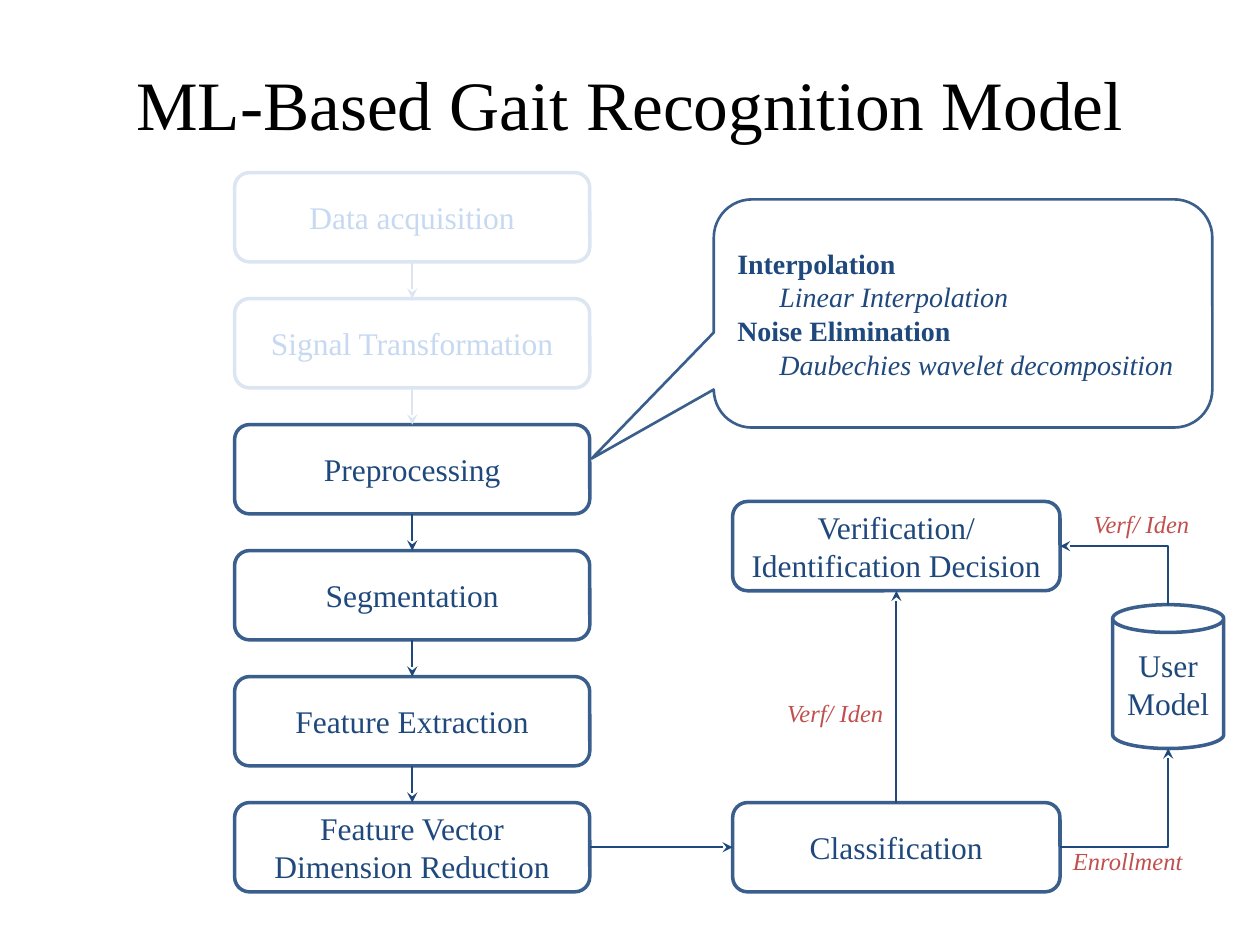
from lxml import etree
from pptx import Presentation
from pptx.dml.color import RGBColor
from pptx.enum.shapes import MSO_CONNECTOR, MSO_SHAPE
from pptx.enum.text import MSO_ANCHOR, MSO_AUTO_SIZE, PP_ALIGN
from pptx.oxml.ns import qn
from pptx.util import Cm, Pt

ROUNDED, CAN = MSO_SHAPE.ROUNDED_RECTANGLE, MSO_SHAPE.CAN
CALLOUT = MSO_SHAPE.ROUNDED_RECTANGULAR_CALLOUT
STRAIGHT, ELBOW = MSO_CONNECTOR.STRAIGHT, MSO_CONNECTOR.ELBOW
CENTER, LEFT, MIDDLE = PP_ALIGN.CENTER, PP_ALIGN.LEFT, MSO_ANCHOR.MIDDLE
TOP_SIDE, LEFT_SIDE, BOTTOM_SIDE, RIGHT_SIDE = range(4)

FONT = "Times New Roman"
COLORS = {
    "title": "000000",
    "outline": "3A5F8C",
    "ink": "1F497D",
    "faded outline": "DCE6F2",
    "faded ink": "C6D9F1",
    "label": "C0504D",
}
COLORS = {role: RGBColor.from_string(value) for role, value in COLORS.items()}

prs = Presentation()
prs.slide_width, prs.slide_height = Cm(25.4), Cm(19.05)
slide = prs.slides.add_slide(prs.slide_layouts[5])
shapes = slide.shapes


def add_node(kind, left, top, width, height, text, faded=False, weight=2):
    prefix = "faded " if faded else ""
    node = shapes.add_shape(kind, Cm(left), Cm(top), Cm(width), Cm(height))
    node.shadow.inherit = False
    node.fill.background()
    node.line.color.rgb = COLORS[prefix + "outline"]
    node.line.width = Pt(weight)
    frame = node.text_frame
    frame.text = text
    frame.word_wrap = True
    frame.vertical_anchor = MIDDLE
    for paragraph in frame.paragraphs:
        paragraph.alignment = CENTER
        paragraph.font.name = FONT
        paragraph.font.size = Pt(18)
        paragraph.font.color.rgb = COLORS[prefix + "ink"]
    return node


def add_arrow(kind, start=(0, 0), end=(0, 0), color="ink", arrow_at="tailEnd"):
    arrow = shapes.add_connector(kind, *map(Cm, start + end))
    arrow.line.color.rgb = COLORS[color]
    arrow.line.width = Pt(1.25)
    properties = arrow._element.spPr
    head = etree.SubElement(properties.find(qn("a:ln")), qn("a:" + arrow_at))
    head.set("type", "stealth")
    etree.SubElement(properties, qn("a:effectLst"))
    if kind == ELBOW:  # a single bend
        properties.find(qn("a:prstGeom")).set("prst", "bentConnector2")
    return arrow


# Title
title = shapes.title
title.left, title.top, title.width, title.height = Cm(1.27), Cm(1.19), Cm(22.86), Cm(1.78)
title.text_frame.text = "ML-Based Gait Recognition Model"
title.text_frame.vertical_anchor = MIDDLE
heading = title.text_frame.paragraphs[0]
heading.alignment = CENTER
heading.font.name = FONT
heading.font.size = Pt(39.6)
heading.font.color.rgb = COLORS["title"]

# Pipeline steps, the first two faded
STEPS = [
    "Data acquisition",
    "Signal Transformation",
    "Preprocessing",
    "Segmentation",
    "Feature Extraction",
    "Feature Vector Dimension Reduction",
]
FADED_STEPS = 2
STEP_TOP, STEP_PITCH, BOX_HEIGHT = 3.48, 2.54, 1.8
steps = [
    add_node(ROUNDED, 4.73, STEP_TOP + i * STEP_PITCH, 7.16, BOX_HEIGHT, text, i < FADED_STEPS)
    for i, text in enumerate(STEPS)
]

# Classification, user model and decision
RESULT_LEFT, RESULT_WIDTH, DECISION_TOP = 14.77, 6.6, 10.11
CLASSIFICATION_TOP = STEP_TOP + 5 * STEP_PITCH
MODEL_LEFT, MODEL_TOP, MODEL_WIDTH, MODEL_HEIGHT = 22.43, 12.19, 2.24, 2.9
classification = add_node(
    ROUNDED, RESULT_LEFT, CLASSIFICATION_TOP, RESULT_WIDTH, BOX_HEIGHT, "Classification")
add_node(CAN, MODEL_LEFT, MODEL_TOP, MODEL_WIDTH, MODEL_HEIGHT, "User Model")
decision = add_node(
    ROUNDED, RESULT_LEFT, DECISION_TOP, RESULT_WIDTH, BOX_HEIGHT,
    "Verification/ Identification Decision")

# Elbow arrows into and out of the user model
result_right = RESULT_LEFT + RESULT_WIDTH
model_center = MODEL_LEFT + MODEL_WIDTH / 2
add_arrow(ELBOW, (result_right, CLASSIFICATION_TOP + BOX_HEIGHT / 2),
          (model_center, MODEL_TOP + MODEL_HEIGHT))
add_arrow(ELBOW, (result_right, DECISION_TOP + BOX_HEIGHT / 2),
          (model_center, MODEL_TOP), arrow_at="headEnd")

# Straight arrows between boxes
links = [
    (upper, BOTTOM_SIDE, lower, TOP_SIDE, "faded outline" if i < FADED_STEPS else "ink")
    for i, (upper, lower) in enumerate(zip(steps, steps[1:]))
]
links += [
    (steps[-1], RIGHT_SIDE, classification, LEFT_SIDE, "ink"),
    (classification, TOP_SIDE, decision, BOTTOM_SIDE, "ink"),
]
for source, source_side, target, target_side, color in links:
    link = add_arrow(STRAIGHT, color=color)
    link.begin_connect(source, source_side)
    link.end_connect(target, target_side)

# Callout on preprocessing: bold topics, each with an indented italic method
METHODS = [
    ("Interpolation", "Linear Interpolation"),
    ("Noise Elimination", "Daubechies wavelet decomposition"),
]
callout_lines = [line for pair in METHODS for line in pair]
callout = add_node(CALLOUT, 14.39, 4.02, 10.05, 4.6, "\n".join(callout_lines), weight=1.5)
for i, value in enumerate((-0.745, 0.636, 0.167)):
    callout.adjustments[i] = value
for i, paragraph in enumerate(callout.text_frame.paragraphs):
    is_method = i % 2 == 1
    paragraph.alignment = LEFT
    paragraph.font.size = Pt(16)
    paragraph.font.bold = not is_method
    paragraph.font.italic = is_method
    if is_method:
        paragraph._p.get_or_add_pPr().set("marL", str(Cm(0.85)))

# Arrow labels
LABELS = [
    ("Enrollment", 21.38, 16.94, 2.74),
    ("Verf/ Iden", 15.62, 13.94, 2.46),
    ("Verf/ Iden", 21.79, 10.13, 2.46),
]
for text, left, top, width in LABELS:
    label = shapes.add_textbox(Cm(left), Cm(top), Cm(width), Cm(0.86)).text_frame
    label.text = text
    label.word_wrap = False
    label.auto_size = MSO_AUTO_SIZE.SHAPE_TO_FIT_TEXT
    label_font = label.paragraphs[0].font
    label_font.name = FONT
    label_font.size = Pt(14)
    label_font.italic = True
    label_font.color.rgb = COLORS["label"]

prs.save("out.pptx")
